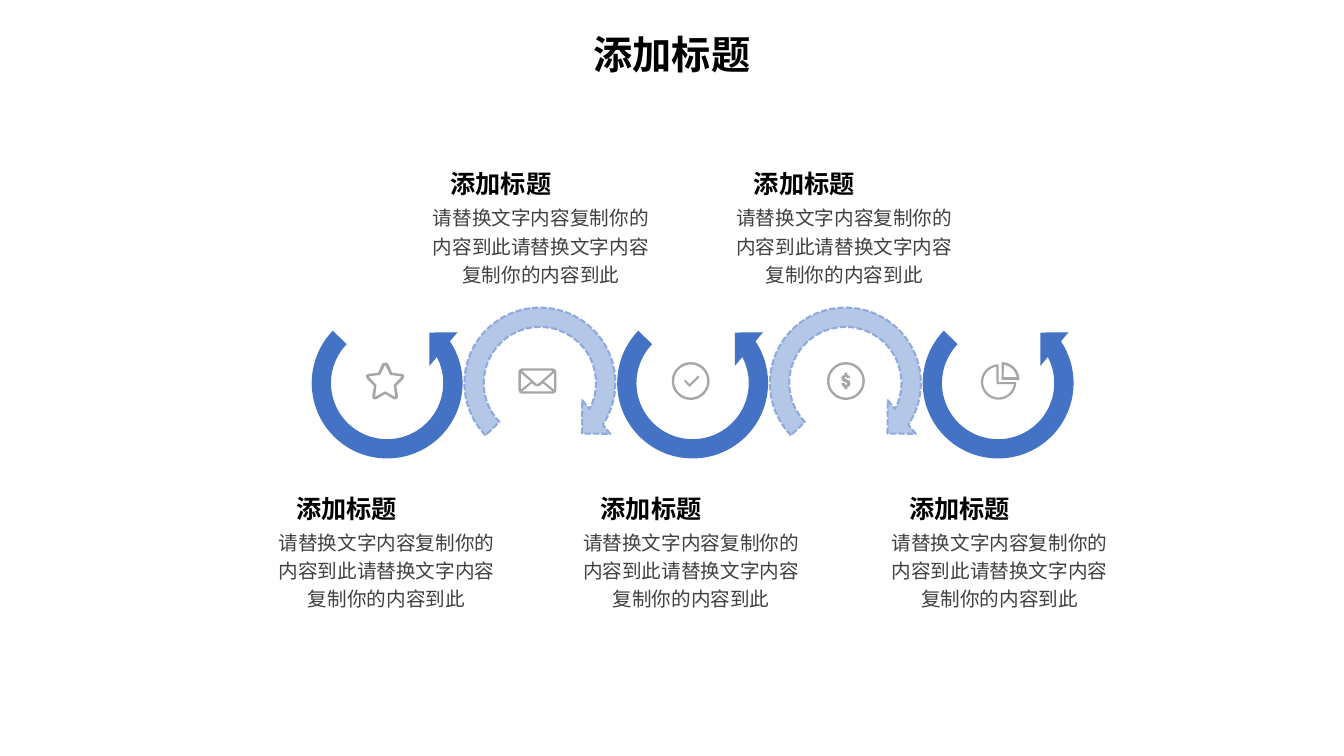
from math import cos, radians, sin

from lxml.etree import SubElement
from pptx import Presentation
from pptx.dml.color import RGBColor
from pptx.enum.dml import MSO_LINE
from pptx.enum.shapes import MSO_SHAPE
from pptx.enum.text import MSO_AUTO_SIZE, PP_ALIGN
from pptx.oxml.ns import qn
from pptx.util import Inches, Pt

ARROW = MSO_SHAPE.CIRCULAR_ARROW
DASH = MSO_LINE.SQUARE_DOT
CENTER, JUSTIFY = PP_ALIGN.CENTER, PP_ALIGN.JUSTIFY
GROW = MSO_AUTO_SIZE.SHAPE_TO_FIT_TEXT
BLACK = RGBColor(0x00, 0x00, 0x00)
DARK = RGBColor(0x40, 0x40, 0x40)
GRAY = RGBColor(0xA6, 0xA6, 0xA6)
BLUE = RGBColor(0x44, 0x72, 0xC4)
PALE = RGBColor(0xB4, 0xC7, 0xE7)
EDGE = RGBColor(0x8F, 0xAA, 0xDC)
FONT = "Noto Sans CJK SC"

TITLE = "添加标题"
BODY = "请替换文字内容复制你的内容到此请替换文字内容复制你的内容到此"


def arc(x, y, r, start=0, end=360, count=36):
    turns = [radians(start + (end - start) * i / count) for i in range(count + 1)]
    return [(x + r * cos(t), y + r * sin(t)) for t in turns]


def mirror(half):
    return half + [(-x, y) for x, y in reversed(half)]


RINGS = [arc(0, 0, 18.75), arc(0, 0, 16.4)]
STAR = [
    mirror([(0, -18.3), (1.7, -18), (3, -17), (7, -8), (17, -7), (18.5, -6),
            (19, -4.7), (18, -2), (11, 5), (12.8, 15), (12.3, 17.3),
            (10.5, 18.4), (8.5, 18), (0, 13)]),
    mirror([(0, -16), (5, -6), (16.5, -4.5), (8.5, 4), (10, 15.8), (0, 10.3)]),
]
FLAP = [(-14, -10.2), (-15, -9.8), (-1.5, 2.3), (0, 2.9)]
SIDE = [(-16.5, 8.5), (-16.5, -8), (-6.5, 0.5)]
MAIL = [
    mirror([(0, -12.5), (15.5, -12.5), (17.8, -11.5), (18.75, -9),
            (18.75, 9), (17.8, 11.5), (15.5, 12.5)]),
    mirror(FLAP),
    SIDE,
    [(-x, y) for x, y in SIDE],
    mirror([(-15, 10.2), (-5.5, 2.3), (-2.5, 4.5), (0, 5.2)]),
]
CHECK = RINGS + [[(7, -5), (-1, 3), (-5, -1), (-6, -1.2), (-6.5, 0), (-2, 5),
                  (-1, 5.7), (0, 5), (8, -3), (8.5, -4.2), (8, -5)]]
COIN = RINGS + [[(1.5, -1.3), (-1, -2.3), (-1.4, -3.2), (0, -4), (1.5, -3),
                 (4.3, -3), (3.5, -5), (1.5, -6), (1.5, -8), (-1.5, -8),
                 (-1.5, -6), (-3.7, -5), (-4.5, -3), (-3.8, -0.5), (-1.5, 0.8),
                 (1.2, 2), (1.3, 3.3), (0, 4), (-1.5, 2.2), (-4.4, 2.2),
                 (-3.6, 5), (-1.5, 6.2), (-1.5, 8), (1.5, 8), (1.5, 6.2),
                 (3.8, 4.8), (4.5, 2.5), (3.8, 0)]]
PIE = [
    arc(-1.5, 1, 17.5, 0, 270) + [(-1.5, 1)],
    arc(-1.5, 1, 15.3, 8, 262) + [(-3.6, 3.1)],
    arc(1.5, -1, 17.7, 270, 360) + [(1.5, -1)],
    arc(1.5, -1, 15.2, 278, 349) + [(3.6, -3.9)],
]
STEPS = [
    (2.62, 3.82, STAR),
    (4.15, 5.33, MAIL),
    (5.64, 6.85, CHECK),
    (7.16, 8.39, COIN),
    (8.7, 9.92, PIE),
]
PITCH, SIZE, MID = 1.515, 1.74, 3.78
BENDS = (0.11, 11.423, 45, 108, 0.125)

deck = Presentation()
deck.slide_width, deck.slide_height = Inches(13.33), Inches(7.5)
slide = deck.slides.add_slide(deck.slide_layouts[6])
shapes = slide.shapes


def write(words, box, size, color, align, bold=False, space=1.2):
    frame = shapes.add_textbox(*map(Inches, box)).text_frame
    frame.word_wrap = True
    frame.auto_size = GROW
    para = frame.paragraphs[0]
    para.text = words
    para.alignment = align
    para.line_spacing = space
    font = para.font
    font.size, font.bold, font.name = Pt(size), bold, FONT
    font.color.rgb = color
    props = para._p.pPr.find(qn("a:defRPr"))
    SubElement(props, qn("a:ea")).set("typeface", FONT)


def paint(shape, color):
    shape.shadow.inherit = False
    shape.fill.solid()
    shape.fill.fore_color.rgb = color
    shape.line.fill.background()


def bend(index, upper):
    box = (2.97 + index * PITCH, 2.93, SIZE, SIZE)
    shape = shapes.add_shape(ARROW, *map(Inches, box))
    for i, value in enumerate(BENDS):
        shape.adjustments[i] = value
    shape.rotation = 316.1 if upper else 43.9
    paint(shape, PALE if upper else BLUE)
    if upper:
        shape.line.color.rgb = EDGE
        shape.line.width = Pt(1.5)
        shape.line.dash_style = DASH
    else:
        shape.element.spPr.get_or_add_xfrm().set("flipV", "1")


def icon(mid, loops):
    pen = None
    for loop in loops:
        spots = [(Inches(mid + x / 100), Inches(MID + y / 100)) for x, y in loop]
        if pen:
            pen.move_to(*spots[0])
        else:
            pen = shapes.build_freeform(*spots[0])
        pen.add_line_segments(spots[1:], close=True)
    paint(pen.convert_to_shape(), GRAY)


for index, (left, mid, loops) in enumerate(STEPS):
    upper = index % 2 == 1
    top = 1.56 if upper else 4.78
    bend(index, upper)
    icon(mid, loops)
    write(BODY, (left, top + 0.39, 2.43, 0.95), 14, DARK, CENTER)
    write(TITLE, (left + 0.22, top, 2, 0.45), 18, BLACK, JUSTIFY, True)

write(TITLE, (0, 0.25, 13.33, 0.57), 28, BLACK, CENTER, True, 1)
deck.save("out.pptx")
